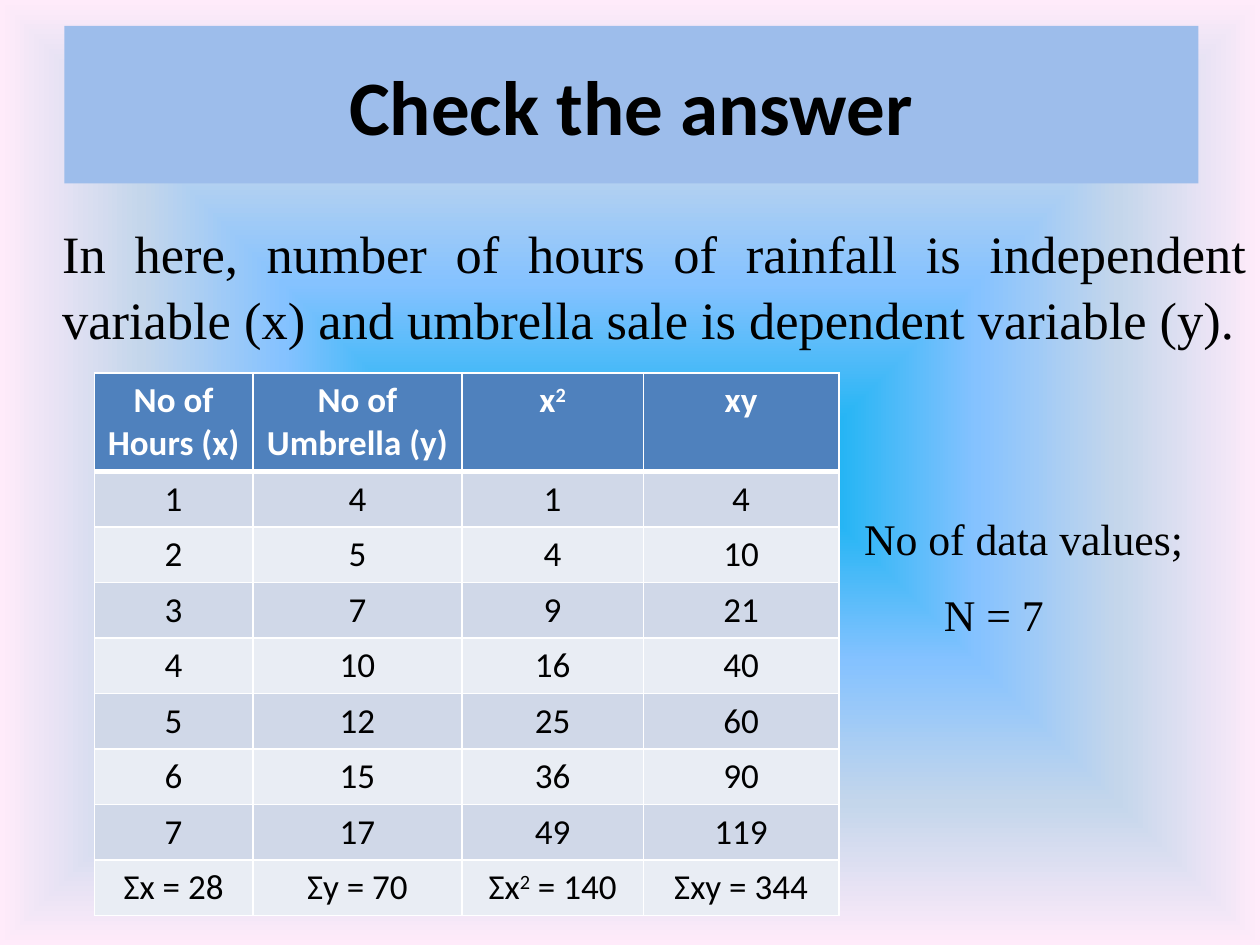
from pptx import Presentation
from pptx.dml.color import RGBColor
from pptx.enum.text import MSO_ANCHOR, MSO_AUTO_SIZE, PP_ALIGN
from pptx.oxml import parse_xml
from pptx.oxml.ns import nsdecls
from pptx.util import Cm, Pt

CENTER, JUSTIFY, LEFT = PP_ALIGN.CENTER, PP_ALIGN.JUSTIFY, PP_ALIGN.LEFT
MIDDLE, TOP = MSO_ANCHOR.MIDDLE, MSO_ANCHOR.TOP
NO_AUTOFIT = MSO_AUTO_SIZE.NONE
TITLE_AND_CONTENT = 1

HOURS = [1, 2, 3, 4, 5, 6, 7]
UMBRELLAS = [4, 5, 7, 10, 12, 15, 17]
HEADER = ["No of Hours (x)", "No of Umbrella (y)", "x^2", "xy"]


def color(value):
    return RGBColor.from_string(value)


class SlideBuilder:
    heading_font = "Calibri"
    text_font = "Times New Roman"
    black, white = "000000", "FFFFFF"
    title_fill, header_fill = "9DBDEB", "4F81BD"
    bands = ("D0D8E8", "E9EDF4")
    glow = ((0, "00B0F0"), (40, "85C2FF"), (70, "C4D6EB"), (100, "FFEBFA"))

    def __init__(self, deck):
        self.slide = deck.slides.add_slide(deck.slide_layouts[TITLE_AND_CONTENT])

    def place(self, shape, left, top, width, height):
        shape.left, shape.top = Cm(left), Cm(top)
        shape.width, shape.height = Cm(width), Cm(height)

    def style(self, paragraph, name, size, ink, align, bold=False):
        paragraph.alignment = align
        font = paragraph.font
        font.name, font.size, font.bold = name, Pt(size), bold
        font.color.rgb = color(ink)

    def background(self):
        stops = "".join(
            f'<a:gs pos="{position * 1000}"><a:srgbClr val="{value}"/></a:gs>'
            for position, value in self.glow)
        self.slide.element.cSld.insert(0, parse_xml(
            f'<p:bg {nsdecls("p", "a")}><p:bgPr><a:gradFill><a:gsLst>{stops}</a:gsLst>'
            '<a:path path="shape"><a:fillToRect l="50000" t="50000" r="50000" b="50000"/>'
            '</a:path></a:gradFill><a:effectLst/></p:bgPr></p:bg>'))

    def title(self, text, *area):
        title = self.slide.shapes.title
        self.place(title, *area)
        title.fill.solid()
        title.fill.fore_color.rgb = color(self.title_fill)
        frame = title.text_frame
        frame.text = text
        frame.vertical_anchor = MIDDLE
        self.style(frame.paragraphs[0], self.heading_font, 44, self.black, CENTER, True)

    def body(self, text, *area):
        body = self.slide.placeholders[1]
        self.place(body, *area)
        frame = body.text_frame
        frame.text = text
        frame.auto_size = NO_AUTOFIT
        frame.vertical_anchor = TOP
        paragraph = frame.paragraphs[0]
        properties = paragraph._p.get_or_add_pPr()
        properties.set("marL", "0")
        properties.set("indent", "0")
        properties.append(parse_xml(f'<a:buNone {nsdecls("a")}/>'))
        paragraph.space_before = Pt(0)
        paragraph.line_spacing = 1.05
        self.style(paragraph, self.text_font, 30, self.black, JUSTIFY)

    def note(self, lines, indent, *area):
        """Add a text box whose lines after the first are indented."""
        box = self.slide.shapes.add_textbox(*(Cm(length) for length in area))
        frame = box.text_frame
        frame.word_wrap = True
        frame.text = "\n".join(lines)
        for paragraph in frame.paragraphs:
            self.style(paragraph, self.text_font, 25, self.black, LEFT)
        for paragraph in frame.paragraphs[1:]:
            paragraph.space_before = Pt(13.5)
            paragraph._p.get_or_add_pPr().set("marL", str(Cm(indent)))

    def cell(self, cell, text, fill, ink, bold, bottom):
        """Fill a cell; the character after ^ is raised."""
        properties = cell._tc.get_or_add_tcPr()
        for side, width in (("L", 1), ("R", 1), ("T", 1), ("B", bottom)):
            properties.append(parse_xml(
                f'<a:ln{side} {nsdecls("a")} w="{Pt(width)}"><a:solidFill>'
                f'<a:srgbClr val="{self.white}"/></a:solidFill></a:ln{side}>'))
        cell.fill.solid()
        cell.fill.fore_color.rgb = color(fill)
        paragraph = cell.text_frame.paragraphs[0]
        base, _, raised = text.partition("^")
        for part, baseline in ((base, 0), (raised[:1], 30000), (raised[1:], 0)):
            if part:
                span = paragraph.add_run()
                span.text = part
                if baseline:
                    span._r.get_or_add_rPr().set("baseline", str(baseline))
        self.style(paragraph, self.heading_font, 20, ink, CENTER, bold)

    def table(self, rows, left, top, widths, header_height, row_height):
        height = header_height + row_height * (len(rows) - 1)
        table = self.slide.shapes.add_table(
            len(rows), len(widths), Cm(left), Cm(top), Cm(sum(widths)), Cm(height)).table
        for column, width in zip(table.columns, widths):
            column.width = Cm(width)
        for index, values in enumerate(rows):
            heading = index == 0
            table.rows[index].height = Cm(header_height if heading else row_height)
            fill = self.header_fill if heading else self.bands[(index - 1) % 2]
            ink = self.white if heading else self.black
            for cell, value in zip(table.rows[index].cells, values):
                self.cell(cell, str(value), fill, ink, heading, 3 if heading else 1)


def main():
    deck = Presentation()
    deck.slide_width, deck.slide_height = Cm(25.4), Cm(19.05)

    data = [(x, y, x * x, x * y) for x, y in zip(HOURS, UMBRELLAS)]
    sums = [sum(column) for column in zip(*data)]
    totals = [f"Σ{name} = {total}" for name, total in zip(("x", "y", "x^2", "xy"), sums)]

    page = SlideBuilder(deck)
    page.background()
    page.title("Check the answer", 1.3, 0.52, 22.86, 3.18)
    page.body("In here, number of hours of rainfall is independent variable (x) "
              "and umbrella sale is dependent variable (y).", 1, 4.27, 24.4, 3.1)
    page.table([HEADER, *data, totals], 1.9, 7.52, (3.2, 4.21, 3.66, 3.94), 1.94, 1.1)
    page.note(["No of data values;", "N = 7"], 1.61, 17.17, 10.19, 7.8, 2.8)

    deck.save("out.pptx")


if __name__ == "__main__":
    main()
